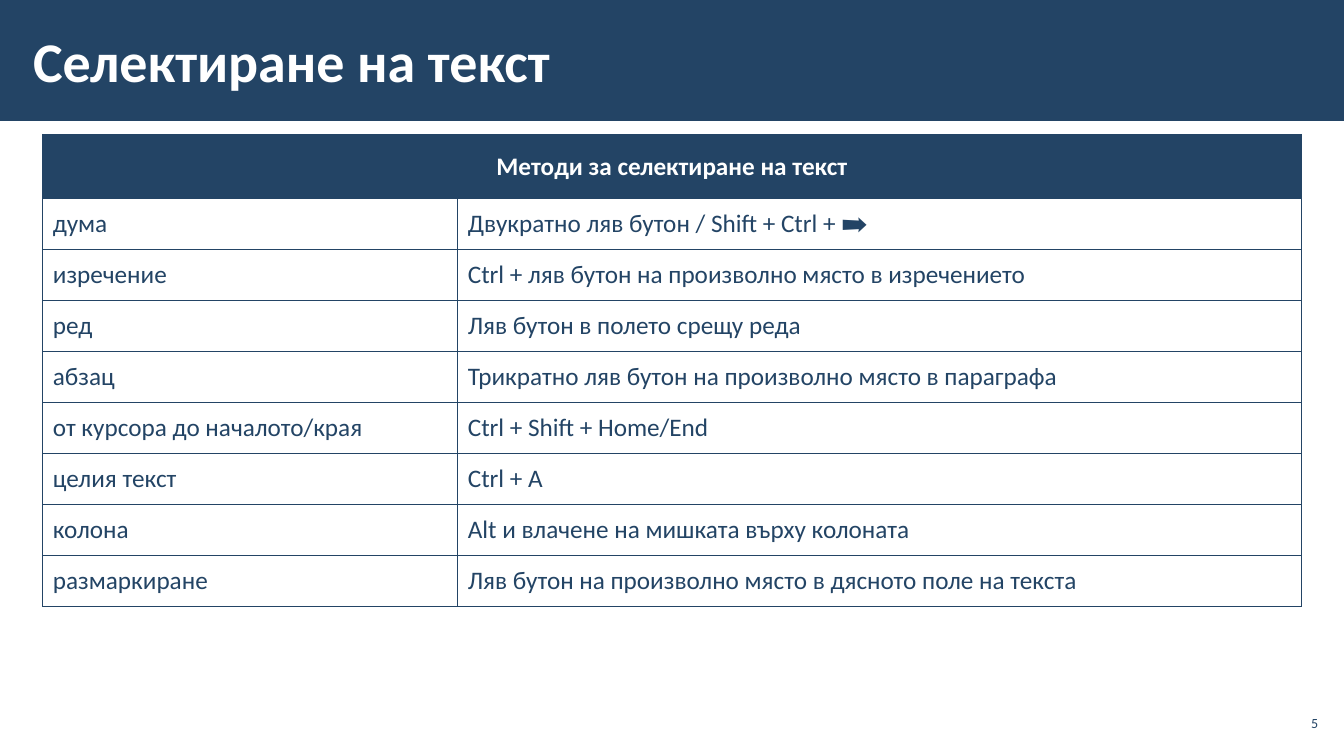
from dataclasses import dataclass

from lxml.etree import SubElement
from pptx import Presentation
from pptx.dml.color import RGBColor as RGB
from pptx.enum.shapes import MSO_SHAPE as Shape
from pptx.enum.text import MSO_ANCHOR as Anchor, MSO_AUTO_SIZE as Fit, PP_ALIGN as Align
from pptx.oxml.ns import qn
from pptx.util import Inches, Pt

COLS, ROWS = 160, 90


@dataclass(frozen=True)
class Theme:
    font: str = "Calibri"
    navy: str = "234465"
    white: str = "FFFFFF"
    head: int = 40
    body: int = 18
    note: int = 10
    rule: int = 1


class Deck:
    """Builds one slide; lengths are counted in grid columns and rows."""

    def __init__(self, theme):
        self.theme = theme
        self.prs = Presentation()
        self.prs.slide_width, self.prs.slide_height = Inches(13.33), Inches(7.5)
        self.slide = self.prs.slides.add_slide(self.prs.slide_layouts[5])

    def wide(self, cols):
        return round(self.prs.slide_width * cols / COLS)

    def high(self, rows):
        return round(self.prs.slide_height * rows / ROWS)

    def box(self, x, y, w, h):
        return self.wide(x), self.high(y), self.wide(w), self.high(h)

    def label(self, frame, text, size, color, bold=False, align=Align.LEFT):
        frame.text = text
        line = frame.paragraphs[0]
        line.alignment = align
        font = line.font
        font.name, font.size, font.bold = self.theme.font, Pt(size), bold
        font.color.rgb = RGB.from_string(color)

    def inset(self, frame, side, edge):
        frame.margin_left = frame.margin_right = Inches(side)
        frame.margin_top = frame.margin_bottom = Inches(edge)
        frame.vertical_anchor = Anchor.MIDDLE
        frame.word_wrap = True

    def title(self, text, *area):
        shape = self.slide.shapes.title
        shape.left, shape.top, shape.width, shape.height = self.box(*area)
        frame = shape.text_frame
        self.inset(frame, 0.12, 0.04)
        frame.auto_size = Fit.NONE
        self.label(frame, text, self.theme.head, self.theme.white, True)

    def band(self, *area):
        """Adds a filled bar behind the title."""
        bar = self.slide.shapes.add_shape(Shape.RECTANGLE, *self.box(*area))
        bar.shadow.inherit = False
        bar.fill.solid()
        bar.fill.fore_color.rgb = RGB.from_string(self.theme.navy)
        bar.line.fill.background()
        self.slide.shapes.title.element.addprevious(bar.element)

    def number(self, text, *area):
        frame = self.slide.shapes.add_textbox(*self.box(*area)).text_frame
        self.inset(frame, 0.04, 0.04)
        self.label(frame, text, self.theme.note, self.theme.navy, align=Align.RIGHT)

    def border(self, cell):
        props = cell._tc.get_or_add_tcPr()
        for side in ("lnL", "lnR", "lnT", "lnB"):
            line = SubElement(props, qn(f"a:{side}"), w=str(Pt(self.theme.rule)))
            fill = SubElement(line, qn("a:solidFill"))
            SubElement(fill, qn("a:srgbClr"), val=self.theme.navy)

    def cell(self, cell, fill):
        self.border(cell)
        cell.fill.solid()
        cell.fill.fore_color.rgb = RGB.from_string(fill)
        cell.vertical_anchor = Anchor.MIDDLE
        cell.margin_left = cell.margin_right = Inches(0.1)
        cell.margin_top = cell.margin_bottom = Inches(0.1)

    def table(self, head, pairs, x, y, widths, top, step):
        """Adds a table with one merged heading above its rows."""
        look = self.theme
        area = self.box(x, y, sum(widths), top + step * len(pairs))
        grid = self.slide.shapes.add_table(len(pairs) + 1, len(widths), *area).table
        for col, width in zip(grid.columns, widths):
            col.width = self.wide(width)
        for i, row in enumerate(grid.rows):
            row.height = self.high(step if i else top)
            for cell in row.cells:
                self.cell(cell, look.white if i else look.navy)
        first = grid.cell(0, 0)
        first.merge(grid.cell(0, len(widths) - 1))
        self.label(first.text_frame, head, look.body, look.white, True, Align.CENTER)
        for i, pair in enumerate(pairs, 1):
            for j, text in enumerate(pair):
                self.label(grid.cell(i, j).text_frame, text, look.body, look.navy)


METHODS = [
    ("дума", "Двукратно ляв бутон / Shift + Ctrl + ➡"),
    ("изречение", "Ctrl + ляв бутон на произволно място в изречението"),
    ("ред", "Ляв бутон в полето срещу реда"),
    ("абзац", "Трикратно ляв бутон на произволно място в параграфа"),
    ("от курсора до началото/края", "Ctrl + Shift + Home/End"),
    ("целия текст", "Ctrl + A"),
    ("колона", "Alt и влачене на мишката върху колоната"),
    ("размаркиране", "Ляв бутон на произволно място в дясното поле на текста"),
]


def main():
    deck = Deck(Theme())
    deck.band(0, 0, COLS, 14.4)
    deck.title("Селектиране на текст", 2.5, 1.3, 124.8, 11.6)
    deck.table("Методи за селектиране на текст", METHODS,
               x=5.1, y=16, widths=(49.4, 100.4), top=7.65, step=6.07)
    deck.number("5", 151.8, 84, 5.6, 4.1)
    deck.prs.save("out.pptx")


if __name__ == "__main__":
    main()
